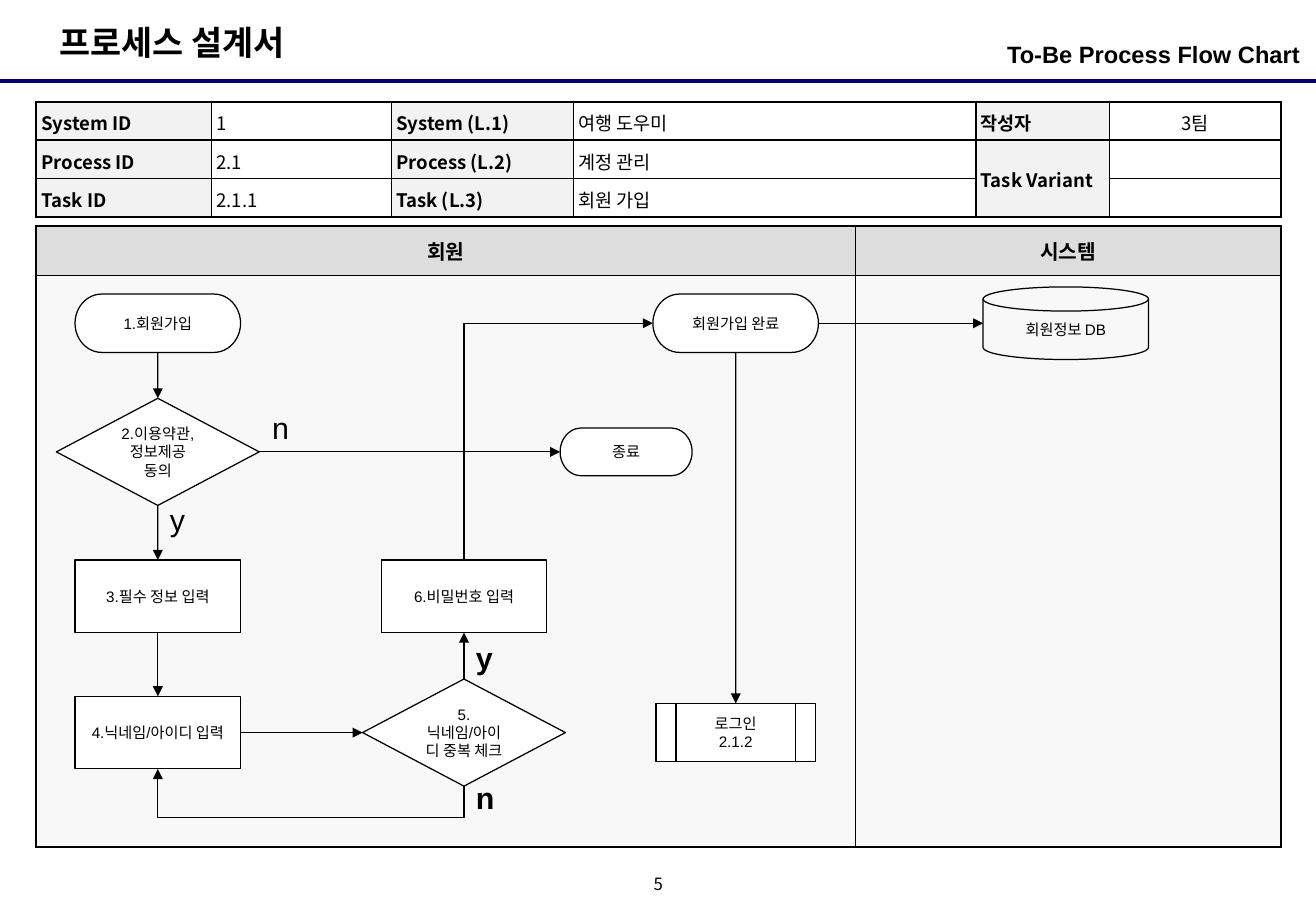
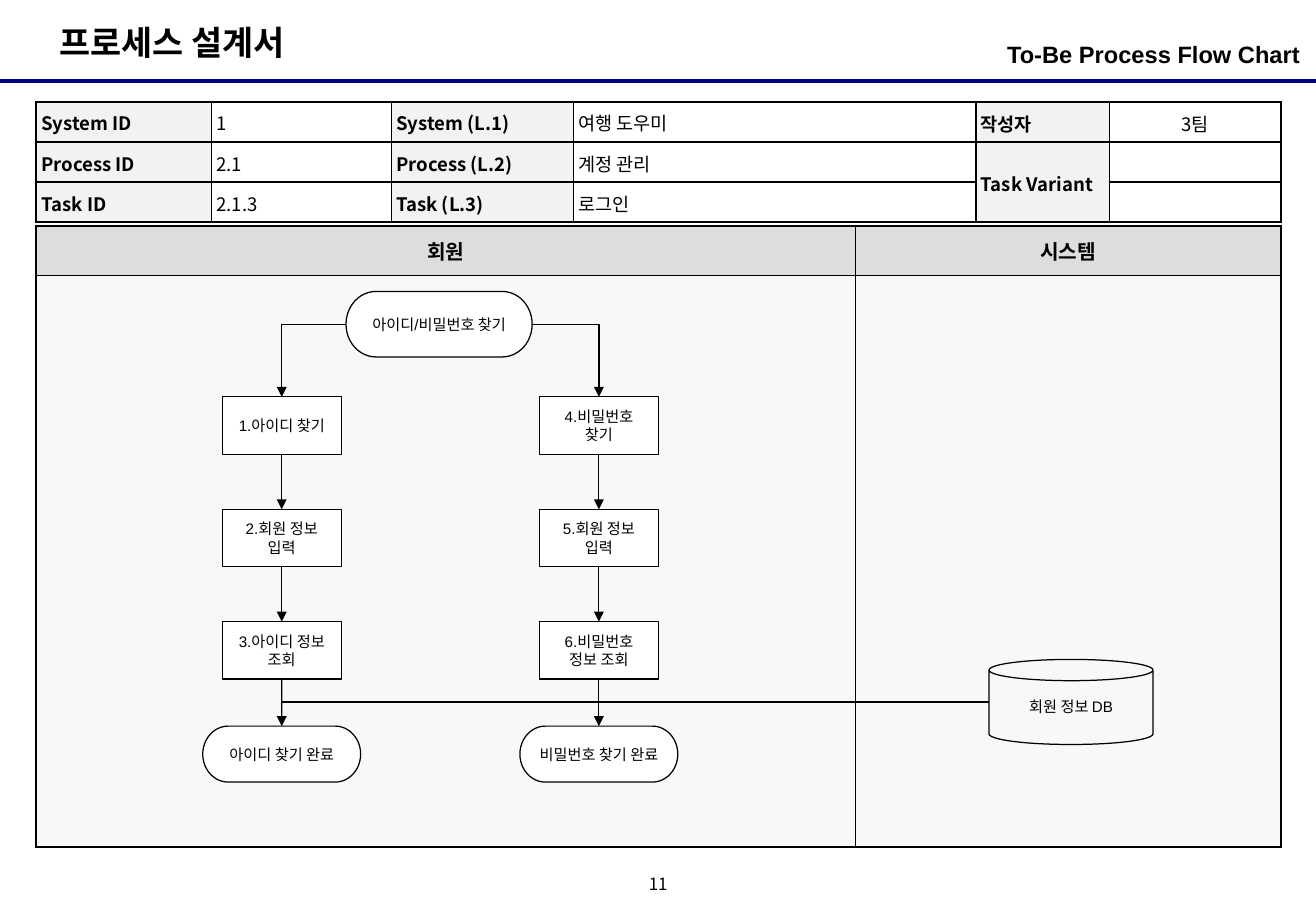
from pptx import Presentation
from pptx.dml.color import RGBColor
from pptx.enum import shapes, text
from pptx.oxml import ns
from pptx.util import Cm, Pt
from lxml import etree

COLORS = {
    "ink": "000000",
    "rule": "000080",
    "paper": "FFFFFF",
    "label": "F2F2F2",
    "lane_head": "DDDDDD",
    "lane_body": "F8F8F8",
}
LATIN, KOREAN = "Arial", "Noto Sans CJK KR"
SLIDE_SIZE = (27.51, 19.05)
INFO_ORIGIN = (0.76, 2.13)
INFO_COLUMNS = (3.66, 3.76, 3.81, 8.41, 2.79, 3.59)
LANES_ORIGIN = (0.76, 4.72)
LANE_COLUMNS, LANE_ROWS = (17.12, 8.9), (1.04, 11.96)

SHAPE = shapes.MSO_SHAPE
ALIGN, ANCHOR = text.PP_ALIGN, text.MSO_ANCHOR
TOP, LEFT, BOTTOM, RIGHT = range(4)
TERMINATOR = SHAPE.FLOWCHART_TERMINATOR
CYLINDERS = (SHAPE.CAN, SHAPE.FLOWCHART_MAGNETIC_DISK)


def color(name):
    return RGBColor.from_string(COLORS[name])


def add_xml(parent, tag, **attributes):
    return etree.SubElement(parent, ns.qn(tag), attributes)


def set_insets(owner, horizontal, vertical):
    owner.margin_left = owner.margin_right = Cm(horizontal)
    owner.margin_top = owner.margin_bottom = Cm(vertical)


def write(frame, content, size, bold=False, font=LATIN, align=ALIGN.LEFT, spacing=None):
    """Fill a text frame, one paragraph for each line of content."""
    for index, line in enumerate(content.split("\n")):
        paragraph = frame.add_paragraph() if index else frame.paragraphs[0]
        paragraph.alignment = align
        if spacing:
            paragraph.line_spacing = spacing
        if not line:
            paragraph._p.get_or_add_endParaRPr().set("sz", str(size * 100))
            continue
        run = paragraph.add_run()
        run.text = line
        run.font.size, run.font.bold, run.font.name = Pt(size), bold, font
        run.font.color.rgb = color("ink")
        add_xml(run._r.get_or_add_rPr(), "a:ea", typeface=KOREAN)


def add_text(slide, box, content, size, insets=(0.25, 0.25), anchor=ANCHOR.TOP, **style):
    frame = slide.shapes.add_textbox(*map(Cm, box)).text_frame
    frame.word_wrap = True
    frame.vertical_anchor = anchor
    set_insets(frame, *insets)
    write(frame, content, size, **style)


def draw_line(slide, begin, end, arrow="tailEnd", kind=shapes.MSO_CONNECTOR.STRAIGHT,
              width=0.75, ink="ink"):
    """Draw a connector between two points; arrow is the end that has the head."""
    connector = slide.shapes.add_connector(kind, *begin, *end)
    connector.line.width = Pt(width)
    connector.line.color.rgb = color(ink)
    if arrow:
        add_xml(connector.line._get_or_add_ln(), f"a:{arrow}", type="triangle")
    add_xml(connector._element.spPr, "a:effectLst")
    return connector


def draw_elbow(slide, begin, end, arrow="tailEnd"):
    """Draw a connector with one corner, leaving begin horizontally."""
    connector = draw_line(slide, begin, end, arrow, shapes.MSO_CONNECTOR.ELBOW)
    connector._element.spPr.find(ns.qn("a:prstGeom")).set("prst", "bentConnector2")


def draw_return(slide, begin, end, drop):
    """Draw an arrow from begin down by drop, left, and up to end."""
    depth, span = begin[1] - end[1], begin[0] - end[0]
    left = (begin[0] + end[0] - depth) // 2
    top = (begin[1] + end[1] - span) // 2
    connector = draw_line(slide, (left, top), (left + depth, top + span),
                          kind=shapes.MSO_CONNECTOR.ELBOW)
    properties = connector._element.spPr
    frame = properties.find(ns.qn("a:xfrm"))
    frame.set("rot", "5400000")
    frame.set("flipH", "1")
    guides = properties.find(ns.qn("a:prstGeom")).get_or_add_avLst()
    ratio = round(-drop / depth * 100000)
    add_xml(guides, "a:gd", name="adj1", fmla=f"val {ratio}")


def side_point(shape, side):
    across = {LEFT: 0, RIGHT: shape.width}.get(side, shape.width // 2)
    down = {TOP: 0, BOTTOM: shape.height}.get(side, shape.height // 2)
    return shape.left + across, shape.top + down


def join(slide, source, source_side, target, target_side):
    connector = draw_line(slide, side_point(source, source_side),
                          side_point(target, target_side))
    connector.begin_connect(source, source_side)
    if target.auto_shape_type not in CYLINDERS:
        connector.end_connect(target, target_side)


def add_node(slide, origin, kind, center, size, content, fill="paper", inset=0.25, spacing=None):
    """Add a flow step whose centre is given relative to origin."""
    place = [start + middle - length / 2
             for start, middle, length in zip(origin, center, size)]
    shape = slide.shapes.add_shape(kind, *map(Cm, (*place, *size)))
    shape.shadow.inherit = False
    if fill:
        shape.fill.solid()
        shape.fill.fore_color.rgb = color(fill)
    else:
        shape.fill.background()
    shape.line.width = Pt(0.75)
    shape.line.color.rgb = color("ink")
    frame = shape.text_frame
    frame.word_wrap = True
    frame.vertical_anchor = ANCHOR.MIDDLE
    set_insets(frame, 0.25, inset)
    write(frame, content, 9, align=ALIGN.CENTER, spacing=spacing)
    return shape


def add_grid(slide, origin, columns, rows):
    size = sum(columns), sum(rows)
    table = slide.shapes.add_table(len(rows), len(columns),
                                   *map(Cm, (*origin, *size))).table
    table.first_row = table.horz_banding = False
    for column, width in zip(table.columns, columns):
        column.width = Cm(width)
    for row, height in zip(table.rows, rows):
        row.height = Cm(height)
    return table


def format_cell(table, row, column, fill, inner):
    """Give a cell its fill and borders, heavy on the outside of the table."""
    cell = table.cell(row, column)
    last_row = row + (cell.span_height if cell.is_merge_origin else 1) == len(table.rows)
    outside = {"L": column == 0, "R": column + 1 == len(table.columns),
               "T": row == 0, "B": last_row}
    properties = cell._tc.get_or_add_tcPr()
    for side, is_outside in outside.items():
        border = add_xml(properties, f"a:ln{side}", w=str(Pt(1.5 if is_outside else inner)))
        add_xml(add_xml(border, "a:solidFill"), "a:srgbClr", val=COLORS["ink"])
    cell.fill.solid()
    cell.fill.fore_color.rgb = color(fill)
    return cell


def add_info(slide, origin, task_id, task_name, row_height):
    rows = (
        ("System ID", "1", "System (L.1)", "여행 도우미", "작성자", "3팀"),
        ("Process ID", "2.1", "Process (L.2)", "계정 관리", "Task Variant", ""),
        ("Task ID", task_id, "Task (L.3)", task_name, "", ""),
    )
    table = add_grid(slide, origin, INFO_COLUMNS, [row_height] * len(rows))
    table.cell(1, 4).merge(table.cell(2, 4))
    for row, contents in enumerate(rows):
        for column, content in enumerate(contents):
            is_label = column % 2 == 0
            cell = format_cell(table, row, column, "label" if is_label else "paper", 1)
            set_insets(cell, 0.1, 0.1)
            cell.vertical_anchor = ANCHOR.MIDDLE if column > 3 else ANCHOR.TOP
            write(cell.text_frame, content, 11, is_label, KOREAN,
                  ALIGN.CENTER if column == 5 else ALIGN.LEFT, 1.1)


def add_lanes(slide, origin):
    table = add_grid(slide, origin, LANE_COLUMNS, LANE_ROWS)
    for column, name in enumerate(("회원", "시스템")):
        head = format_cell(table, 0, column, "lane_head", 0.75)
        head.vertical_anchor = ANCHOR.MIDDLE
        write(head.text_frame, name, 12, True, align=ALIGN.CENTER)
        format_cell(table, 1, column, "lane_body", 0.75)


def add_process_slide(presentation, number, task_id, task_name, row_height):
    """Add a slide with everything but its flow."""
    slide = presentation.slides.add_slide(presentation.slide_layouts[5])
    draw_line(slide, (0, Cm(1.7)), (Cm(SLIDE_SIZE[0]), Cm(1.7)), None, width=2.25, ink="rule")
    title = slide.shapes.title
    title.left, title.top, title.width, title.height = map(Cm, (0.99, 0.33, 5.74, 1.12))
    frame = title.text_frame
    frame.word_wrap = False
    frame.auto_size = text.MSO_AUTO_SIZE.NONE
    frame.vertical_anchor = ANCHOR.TOP
    set_insets(frame, 0.25, 0.13)
    write(frame, "프로세스 설계서", 20, True)
    add_text(slide, (18.77, 0.71, 8.41, 0.99), "To-Be Process Flow Chart", 14, (0, 0.13),
             bold=True, align=ALIGN.RIGHT)
    add_text(slide, (13.34, 18.21, 0.84, 0.64), number, 10, (0, 0), ANCHOR.MIDDLE,
             font=KOREAN, align=ALIGN.CENTER, spacing=0.8)
    add_lanes(slide, LANES_ORIGIN)
    add_info(slide, INFO_ORIGIN, task_id, task_name, row_height)
    return slide


def add_signup_flow(slide, origin):
    first, second, third, system = 2.54, 8.94, 14.62, 21.52
    start_row, terms_row, input_row, check_row = 2.04, 4.73, 7.75, 10.6
    pill, box, rhombus = (3.46, 1.22), (3.46, 1.52), (4.24, 2.24)

    def node(*details, **style):
        return add_node(slide, origin, *details, **style)

    start = node(TERMINATOR, (first, start_row), pill, "1.회원가입")
    terms = node(SHAPE.DIAMOND, (first, terms_row), rhombus, "2.이용약관,\n정보제공 동의")
    required = node(SHAPE.RECTANGLE, (first, input_row), box, "3.필수 정보 입력")
    nickname = node(SHAPE.RECTANGLE, (first, check_row), box, "4.닉네임/아이디 입력")
    check = node(SHAPE.DIAMOND, (second, check_row), rhombus, "5.닉네임/아이디 중복 체크")
    password = node(SHAPE.RECTANGLE, (second, input_row), box, "6.비밀번호 입력")
    done = node(TERMINATOR, (third, start_row), pill, "회원가입 완료")
    stop = node(TERMINATOR, (12.33, terms_row), (2.76, 1), "종료")
    login = node(SHAPE.FLOWCHART_PREDEFINED_PROCESS, (third, check_row), (3.33, 1.22),
                 "로그인\n2.1.2")
    members = node(SHAPE.FLOWCHART_MAGNETIC_DISK, (system, start_row), box, "회원정보 DB",
                   fill="lane_body")

    for source, source_side, target, target_side in (
        (start, BOTTOM, terms, TOP),
        (terms, BOTTOM, required, TOP),
        (terms, RIGHT, stop, LEFT),
        (required, BOTTOM, nickname, TOP),
        (nickname, RIGHT, check, LEFT),
        (check, TOP, password, BOTTOM),
        (done, BOTTOM, login, TOP),
        (done, RIGHT, members, LEFT),
    ):
        join(slide, source, source_side, target, target_side)
    draw_elbow(slide, side_point(done, LEFT), side_point(password, TOP), "headEnd")
    draw_return(slide, side_point(check, BOTTOM), side_point(nickname, BOTTOM), Cm(0.66))

    for answer, x, y, bold in (("y", first, 5.52, False), ("n", 4.68, 3.59, False),
                               ("y", second, 8.39, True), ("n", second, 11.33, True)):
        add_text(slide, (origin[0] + x, origin[1] + y, 1.1, 1.2), answer, 18, bold=bold)


def add_recovery_flow(slide, origin):
    first_row, row_step, end_row = 4.18, 2.35, 11.05
    database_row = 9.96
    branches = (
        (5.13, LEFT, ("1.아이디 찾기", "2.회원 정보 입력", "3.아이디 정보 조회"),
         "아이디 찾기 완료"),
        (11.76, RIGHT, ("4.비밀번호 찾기", "5.회원 정보 입력", "6.비밀번호 정보 조회"),
         "비밀번호 찾기 완료"),
    )
    start = add_node(slide, origin, TERMINATOR, (8.42, 2.06), (3.89, 1.37),
                     "아이디/비밀번호 찾기")
    for x, start_side, steps, result in branches:
        chain = [add_node(slide, origin, SHAPE.RECTANGLE, (x, first_row + index * row_step),
                          (2.49, 1.2), step, inset=0.13)
                 for index, step in enumerate(steps)]
        chain.append(add_node(slide, origin, TERMINATOR, (x, end_row), (3.3, 1.17), result))
        draw_elbow(slide, side_point(start, start_side), side_point(chain[0], TOP))
        for source, target in zip(chain, chain[1:]):
            join(slide, source, BOTTOM, target, TOP)
    members = add_node(slide, origin, SHAPE.CAN, (21.63, database_row), (3.43, 1.78),
                       "회원 정보 DB", fill=None, inset=0.13, spacing=0.9)
    id_branch = Cm(origin[0] + branches[0][0]), Cm(origin[1] + database_row)
    draw_line(slide, side_point(members, LEFT), id_branch, None)


def main():
    presentation = Presentation()
    presentation.slide_width, presentation.slide_height = map(Cm, SLIDE_SIZE)
    signup = add_process_slide(presentation, "5", "2.1.1", "회원 가입", 0.8)
    add_signup_flow(signup, LANES_ORIGIN)
    recovery = add_process_slide(presentation, "11", "2.1.3", "로그인", 0.84)
    add_recovery_flow(recovery, LANES_ORIGIN)
    presentation.save("out.pptx")


if __name__ == "__main__":
    main()
